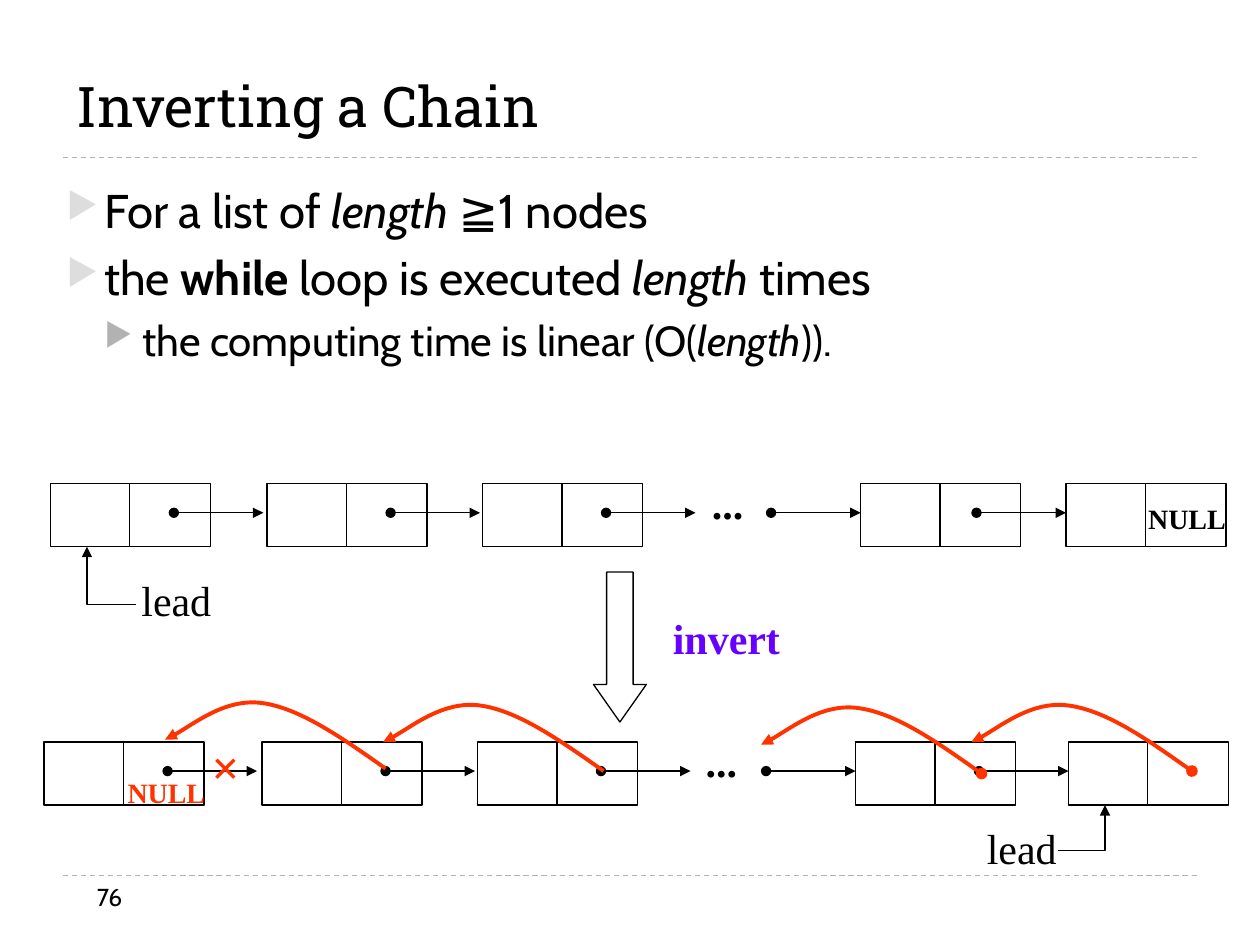
from lxml.etree import SubElement
from pptx import Presentation
from pptx.dml.color import RGBColor
from pptx.enum.dml import MSO_LINE
from pptx.enum.shapes import MSO_CONNECTOR, MSO_SHAPE
from pptx.enum.text import MSO_ANCHOR, MSO_AUTO_SIZE, PP_ALIGN
from pptx.oxml.ns import qn
from pptx.util import Pt

PX = 9144
BLACK = RGBColor(0x00, 0x00, 0x00)
RED = RGBColor(0xFF, 0x33, 0x00)
PURPLE = RGBColor(0x66, 0x00, 0xFF)
RULE_GRAY = RGBColor(0xB2, 0xB2, 0xB2)
BULLET_GRAY = RGBColor(0xDD, 0xDD, 0xDD)

NODE_W, NODE_H, DIVIDER = 127, 50, 63
POINTER_START, POINTER_LENGTH, POINTER_DROP = 98, 71, 23
CURVE = [(-34, -24), (-68, -48), (-98, -52), (-127, -56), (-162, -28), (-175, -23)]


class SlideBuilder:
    heading_font = "Roboto Slab"
    body_font = "Cabin"
    diagram_font = "Times New Roman"

    def __init__(self, slide):
        self.slide = slide
        self.shapes = slide.shapes

    def emu(self, *lengths):
        return [length * PX for length in lengths]

    def style_font(self, font, name, size, color=BLACK, bold=False, italic=False):
        font.name, font.size, font.bold, font.italic = name, Pt(size), bold, italic
        font.color.rgb = color

    def style_line(self, line, color=BLACK, width=0.75, head=None, tail=None):
        line.color.rgb = color
        line.width = Pt(width)
        for tag, kind in (("a:headEnd", head), ("a:tailEnd", tail)):
            if kind:
                SubElement(line._get_or_add_ln(), qn(tag), type=kind)

    def title(self, text, left, top, width, height):
        title = self.shapes.title
        title.left, title.top, title.width, title.height = self.emu(left, top, width, height)
        frame = title.text_frame
        frame.text = text
        frame.vertical_anchor = MSO_ANCHOR.BOTTOM
        frame.auto_size = MSO_AUTO_SIZE.NONE
        paragraph = frame.paragraphs[0]
        paragraph.alignment = PP_ALIGN.LEFT
        self.style_font(paragraph.runs[0].font, self.heading_font, 32)

    def text_frame(self, left, top, width, height, wrap=True):
        frame = self.shapes.add_textbox(*self.emu(left, top, width, height)).text_frame
        frame.word_wrap = wrap
        return frame

    def bullets(self, items, left, top, width, height):
        frame = self.text_frame(left, top, width, height)
        for index, (level, runs) in enumerate(items):
            paragraph = frame.add_paragraph() if index else frame.paragraphs[0]
            size, space, color = ((27, 6, BULLET_GRAY), (24, 5, RULE_GRAY))[level]
            paragraph.level = level
            self.bullet_mark(paragraph, level, color)
            if index:
                paragraph.space_before = Pt(space)
            for text, style in runs:
                run = paragraph.add_run()
                run.text = text
                self.style_font(run.font, self.body_font, size,
                                bold=style == "bold", italic=style == "italic")

    def bullet_mark(self, paragraph, level, color):
        properties = paragraph._p.get_or_add_pPr()
        properties.set("marL", str(30 * (level + 1) * PX))
        properties.set("indent", str(-30 * PX))
        bullet_color = SubElement(properties, qn("a:buClr"))
        SubElement(bullet_color, qn("a:srgbClr"), val=str(color))
        SubElement(properties, qn("a:buSzPct"), val="76000")
        SubElement(properties, qn("a:buChar"), char="▶")

    def label(self, text, left, top, width, height, size=24, color=BLACK, bold=False):
        frame = self.text_frame(left, top, width, height, wrap=False)
        frame.auto_size = MSO_AUTO_SIZE.SHAPE_TO_FIT_TEXT
        frame.text = text
        paragraph = frame.paragraphs[0]
        paragraph.alignment = PP_ALIGN.CENTER
        self.style_font(paragraph.runs[0].font, self.diagram_font, size, color, bold)

    def page_number(self, text, left, top, width, height):
        frame = self.text_frame(left, top, width, height)
        frame.text = text
        self.style_font(frame.paragraphs[0].runs[0].font, self.body_font, 14)

    def outline(self, kind, left, top, width, height):
        shape = self.shapes.add_shape(kind, *self.emu(left, top, width, height))
        shape.shadow.inherit = False
        shape.fill.background()
        self.style_line(shape.line)
        return shape

    def line(self, x1, y1, x2, y2, **style):
        connector = self.shapes.add_connector(MSO_CONNECTOR.STRAIGHT, *self.emu(x1, y1, x2, y2))
        self.style_line(connector.line, **style)
        SubElement(connector._element.spPr, qn("a:effectLst"))
        return connector

    def rule(self, y):
        self.line(50, y, 950, y, color=RULE_GRAY).line.dash_style = MSO_LINE.DASH

    def polyline(self, start, points, **style):
        builder = self.shapes.build_freeform(*start, scale=PX)
        builder.add_line_segments(points, close=False)
        shape = builder.convert_to_shape()
        shape.shadow.inherit = False
        shape.fill.background()
        self.style_line(shape.line, **style)
        return shape

    def curved_link(self, x, y, head=None):
        points = [(x + dx, y + dy) for dx, dy in CURVE]
        link = self.polyline((x, y), points, color=RED, width=2.25, head=head, tail="triangle")
        segments = list(link._element.iter(qn("a:lnTo")))
        outline = segments[0].getparent()
        for first in range(0, len(segments), 3):
            bezier = SubElement(outline, qn("a:cubicBezTo"))
            for segment in segments[first:first + 3]:
                bezier.append(segment[0])
                outline.remove(segment)

    def chain(self, node_lefts, top, ellipsis_left):
        for left in node_lefts:
            self.outline(MSO_SHAPE.RECTANGLE, left, top, NODE_W, NODE_H)
            self.line(left + DIVIDER, top, left + DIVIDER, top + NODE_H)
        starts = [left + POINTER_START for left in node_lefts[:3]]
        starts += [left - POINTER_LENGTH for left in node_lefts[3:]]
        y = top + POINTER_DROP
        for x in starts:
            self.line(x, y, x + POINTER_LENGTH, y, head="oval", tail="triangle")
        self.label("...", ellipsis_left, top - 10, 45, 50, bold=True)


def main():
    presentation = Presentation()
    presentation.slide_width, presentation.slide_height = 1000 * PX, 750 * PX
    builder = SlideBuilder(presentation.slides.add_slide(presentation.slide_layouts[5]))

    builder.rule(695)
    builder.rule(125)
    builder.title("Inverting a Chain", 51, 28, 898, 87)
    builder.bullets([
        (0, [("For a list of ", ""), ("length", "italic"), (" ≧1 nodes", "")]),
        (0, [("the ", ""), ("while", "bold"), (" loop is executed ", ""),
             ("length", "italic"), (" times", "")]),
        (1, [("the computing time is linear (O(", ""), ("length", "italic"), (")).", "")]),
    ], 43, 139, 915, 194)

    builder.chain([40, 212, 383, 683, 846], 384, 555)
    builder.label("NULL", 901, 393, 82, 37, size=16, bold=True)
    builder.polyline((69, 434), [(69, 480), (108, 480)], head="triangle")
    builder.label("lead", 102, 451, 76, 50)

    invert_arrow = builder.outline(MSO_SHAPE.DOWN_ARROW, 471, 454, 42, 119)
    invert_arrow.adjustments[0] = 0.5
    invert_arrow.adjustments[1] = 0.71
    builder.label("invert", 524, 481, 105, 50, color=PURPLE, bold=True)

    builder.chain([35, 208, 379, 679, 848], 589, 550)
    for x, y, head in ((306, 610, None), (479, 612, None), (779, 614, "oval"), (946, 612, "oval")):
        builder.curved_link(x, y, head)
    builder.label("×", 158, 580, 42, 57, size=28, color=RED, bold=True)
    builder.label("NULL", 91, 611, 82, 37, size=16, color=RED, bold=True)
    builder.polyline((877, 639), [(877, 675), (840, 675)], head="triangle")
    builder.label("lead", 773, 648, 76, 50)

    builder.page_number("76", 67, 695, 217, 40)
    presentation.save("out.pptx")


if __name__ == "__main__":
    main()
